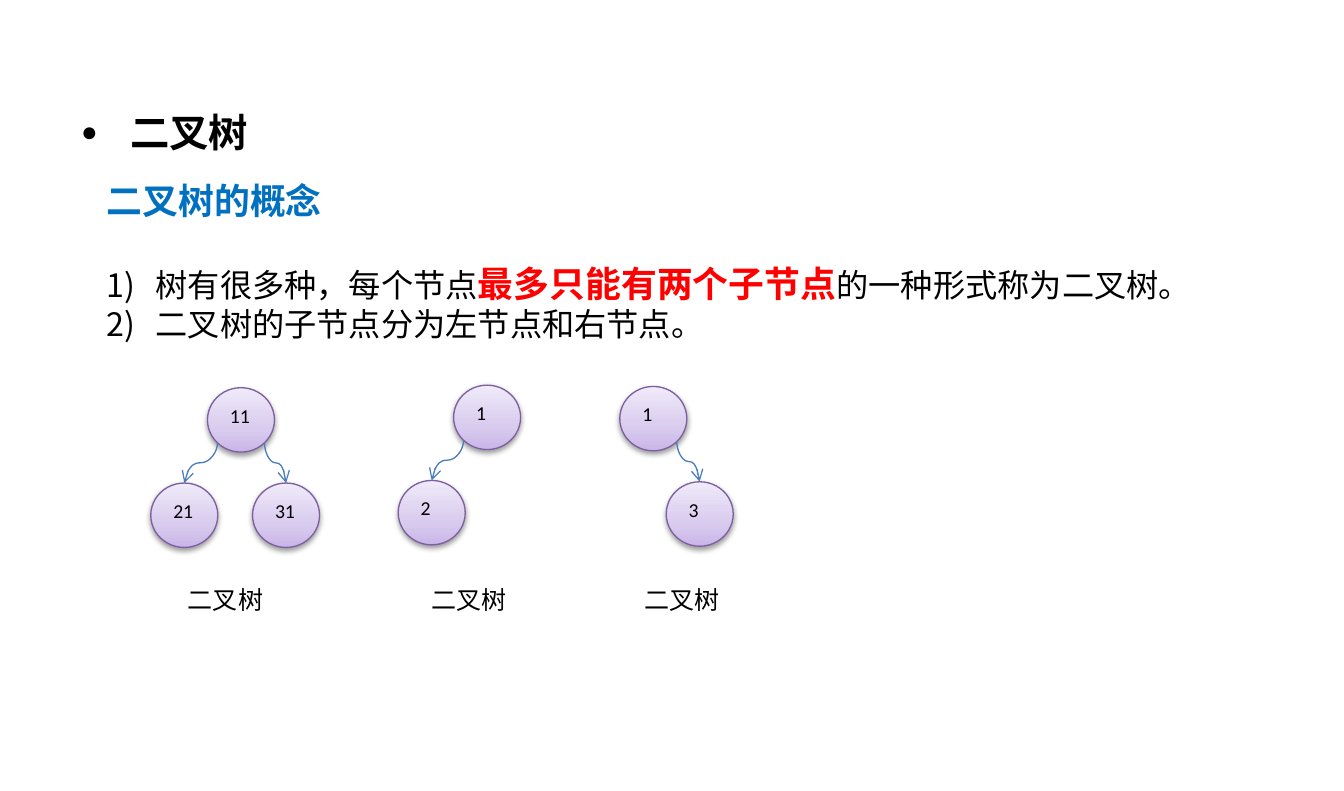
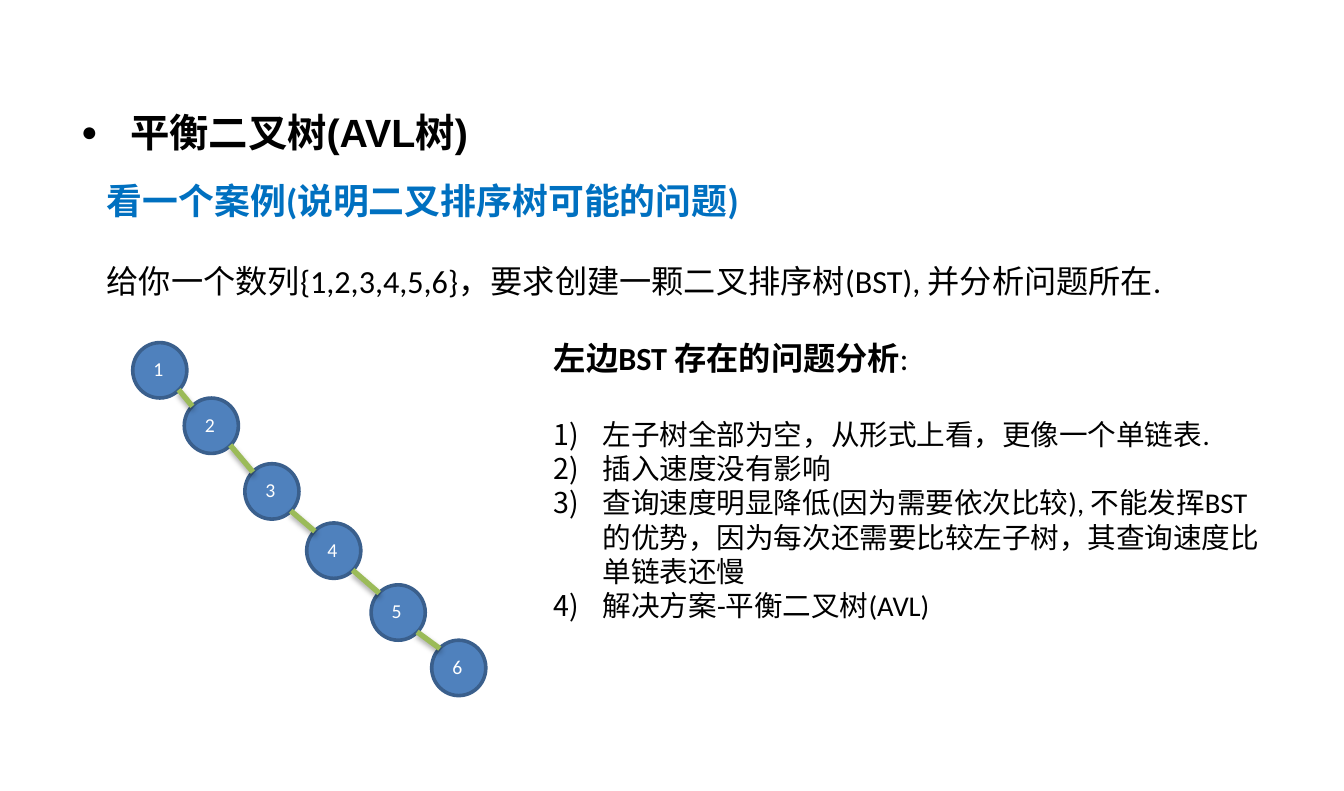
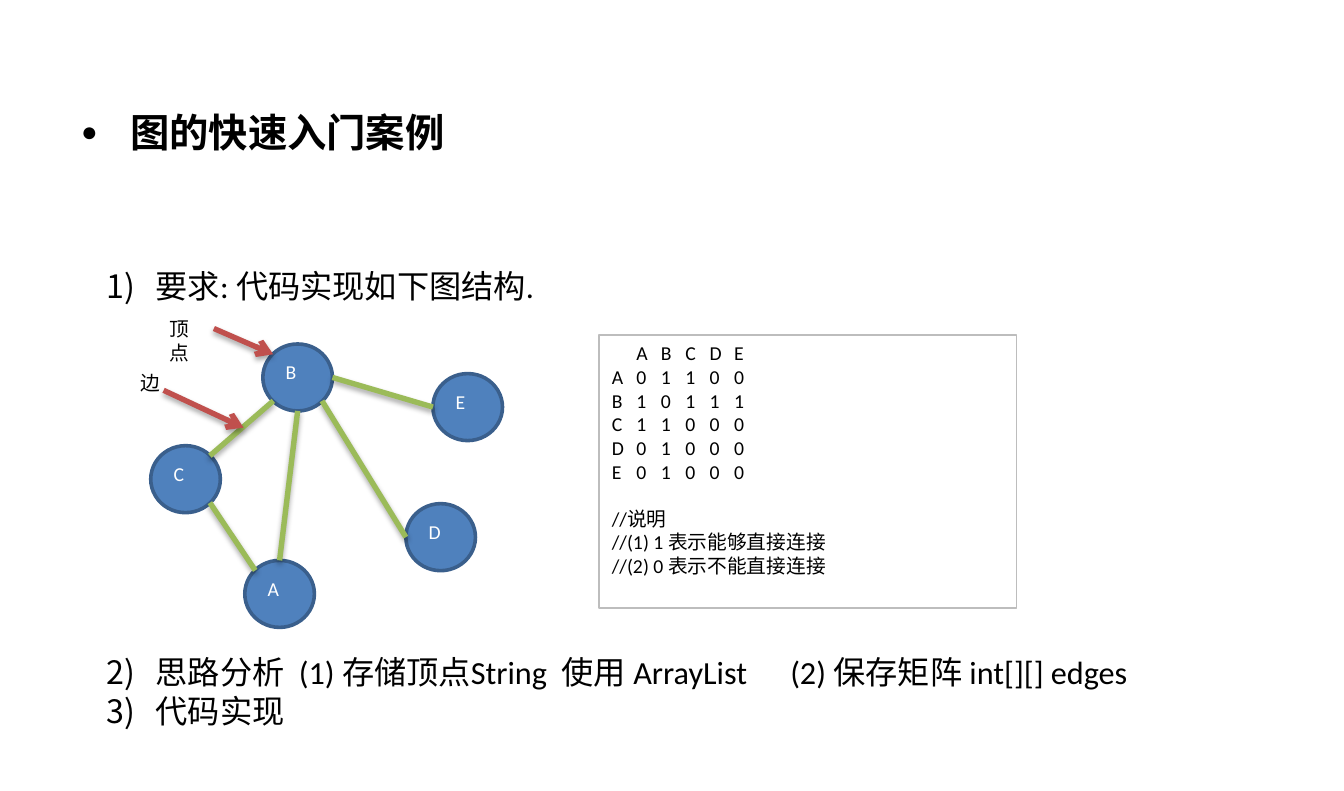
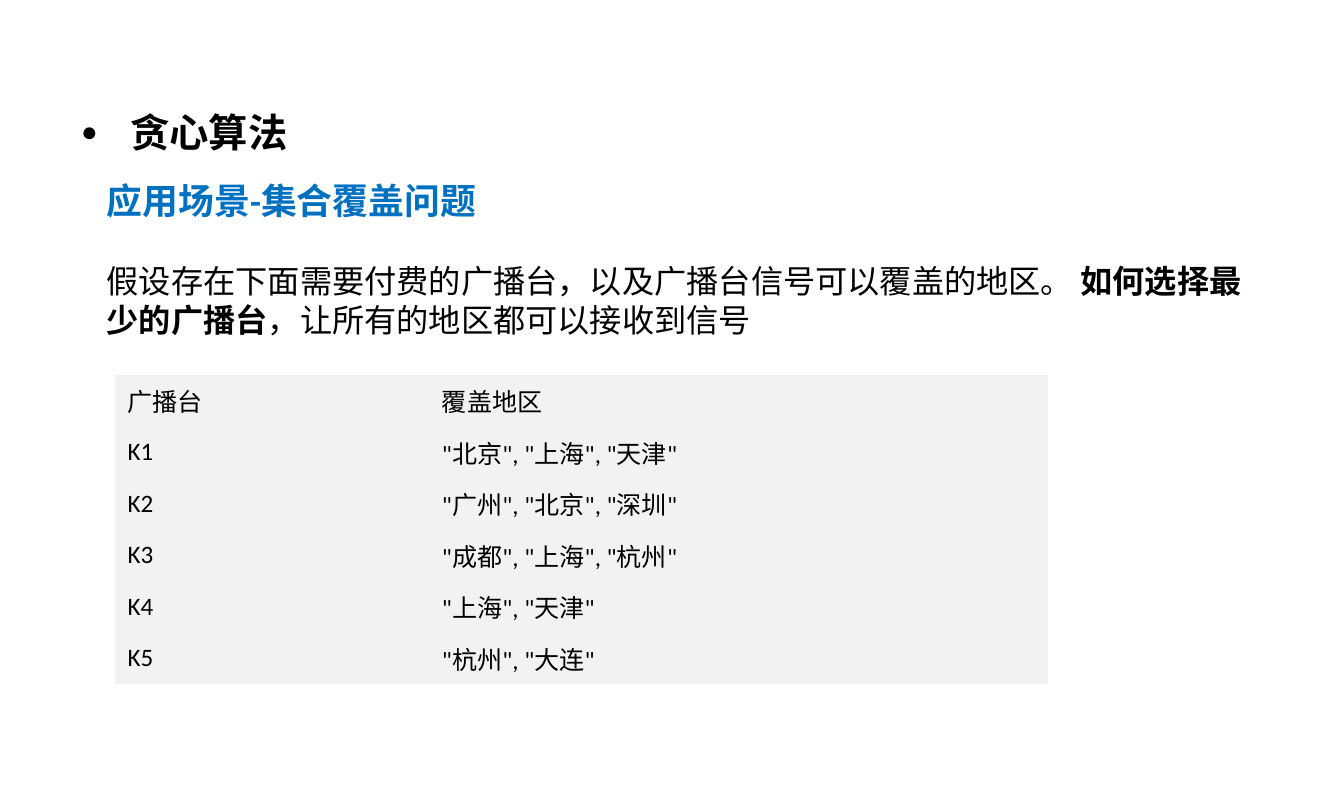
from copy import deepcopy
from dataclasses import dataclass

from lxml import etree
from pptx import Presentation
from pptx import util as u
from pptx.dml.color import RGBColor
from pptx.enum import shapes, text
from pptx.oxml.ns import qn


# Theme: every colour, font and type size
@dataclass(frozen=True)
class Theme:
    title_font: str = "Arial"
    body_font: str = "Calibri"
    title: int = 22
    heading: int = 20
    body: int = 18
    detail: int = 16
    caption: int = 14
    label: int = 11
    black: str = "000000"
    white: str = "FFFFFF"
    blue: str = "0070C0"
    red: str = "FF0000"
    node: str = "4F81BD"
    node_line: str = "3A5F8C"
    edge: str = "9BBB59"
    pointer: str = "C0504D"
    curve: str = "4B7EBC"
    frame: str = "BDBDBD"
    cell: str = "F2F2F2"
    violet_line: str = "7D60A0"
    violet: tuple = ((0, "C9B5E8"), (0.35, "D8CBEE"), (1, "F0EAF9"))


T = Theme()
INDENT = 0.38
BLANK_LINE = 22  # points between a heading and the text under it
NO_STYLE = "{2D5ABB26-0587-4C30-8999-92F81FD0307C}"

# Connection sites of an ellipse, as fractions of its box
SITES = {"top": (0.5, 0), "bottom": (0.5, 1), "left": (0, 0.5),
         "right": (1, 0.5), "tl": (0.15, 0.15), "tr": (0.85, 0.15),
         "bl": (0.15, 0.85), "br": (0.85, 0.85)}


@dataclass
class Run:
    text: str
    size: int = T.body
    color: str = T.black
    bold: bool = False
    font: str = T.body_font
    gap: float = 0  # extra letter spacing in points


def rgb(value):
    return RGBColor.from_string(value)


def inches(*values):
    return [u.Inches(v) for v in values]


def site(box, name):
    x, y, w, h = box
    fx, fy = SITES[name]
    return x + w * fx, y + h * fy


class Deck:
    def __init__(self, width, height):
        self.prs = Presentation()
        self.prs.slide_width, self.prs.slide_height = inches(width, height)
        self.s = None

    # Text
    def para(self, tf, *runs, number=False, before=0, tabs=()):
        p = tf.paragraphs[0]
        if p.runs:
            p = tf.add_paragraph()
        p.alignment = text.PP_ALIGN.LEFT
        if before:
            p.space_before = u.Pt(before)
        pPr = p._p.get_or_add_pPr()
        if number:
            self.hang(pPr)
            etree.SubElement(pPr, qn("a:buFont"), typeface="+mj-lt")
            etree.SubElement(pPr, qn("a:buAutoNum"), type="arabicParenR")
        if tabs:
            stops = etree.SubElement(pPr, qn("a:tabLst"))
            for pos in tabs:
                etree.SubElement(stops, qn("a:tab"), algn="l",
                                 pos=str(u.Inches(pos)))
        for run in runs:
            for i, line in enumerate(run.text.split("\n")):
                if i:
                    p.add_line_break()
                r = p.add_run()
                r.text = line
                r.font.size = u.Pt(run.size)
                r.font.name = run.font
                r.font.bold = run.bold
                r.font.color.rgb = rgb(run.color)
                if run.gap:
                    r._r.get_or_add_rPr().set("spc", str(int(run.gap * 100)))
        return p

    def hang(self, pPr):
        pPr.set("marL", str(u.Inches(INDENT)))
        pPr.set("indent", str(-u.Inches(INDENT)))

    def box(self, x, y, w, h):
        tf = self.s.shapes.add_textbox(*inches(x, y, w, h)).text_frame
        tf.word_wrap = True
        return tf

    def label(self, x, y, w, h, words, size=T.label):
        self.para(self.box(x, y, w, h), Run(words, size))

    # Slide frame
    def slide(self, title):
        self.s = self.prs.slides.add_slide(self.prs.slide_layouts[5])
        sp = self.s.shapes.title
        sp.left, sp.top, sp.width, sp.height = inches(0.53, 0.83, 8.3, 0.43)
        tf = sp.text_frame
        tf.auto_size = text.MSO_AUTO_SIZE.NONE
        tf.vertical_anchor = text.MSO_ANCHOR.TOP
        p = self.para(tf, Run(title, T.title, bold=True, font=T.title_font))
        p.line_spacing = 0.9
        p.space_before = u.Pt(0)
        pPr = p._p.get_or_add_pPr()
        self.hang(pPr)
        color = etree.SubElement(pPr, qn("a:buClr"))
        etree.SubElement(color, qn("a:srgbClr"), val=T.black)
        etree.SubElement(pPr, qn("a:buSzPct"), val="70000")
        etree.SubElement(pPr, qn("a:buFont"), typeface=T.title_font)
        etree.SubElement(pPr, qn("a:buChar"), char="●")

    def body(self, heading, height):
        tf = self.box(0.73, 1.34, 9.21, height)
        self.para(tf, Run(heading, T.heading, T.blue, True))
        return tf

    # Shapes
    def shadow(self, sp, alpha, dist):
        spPr = sp._element.spPr
        effects = spPr.find(qn("a:effectLst"))
        if effects is None:
            effects = etree.SubElement(spPr, qn("a:effectLst"))
        shade = etree.SubElement(
            effects, qn("a:outerShdw"), blurRad=str(u.Pt(3.1)),
            dist=str(u.Pt(dist)), dir="5400000", rotWithShape="0")
        color = etree.SubElement(shade, qn("a:srgbClr"), val=T.black)
        etree.SubElement(color, qn("a:alpha"), val=str(alpha * 1000))

    def shape(self, kind, box, line, weight):
        sp = self.s.shapes.add_shape(kind, *inches(*box))
        sp.shadow.inherit = False
        sp.line.color.rgb = rgb(line)
        sp.line.width = u.Pt(weight)
        sp.text_frame.word_wrap = True
        sp.text_frame.vertical_anchor = text.MSO_ANCHOR.TOP
        return sp

    def node(self, box, name):
        sp = self.shape(shapes.MSO_SHAPE.OVAL, box, T.node_line, 2)
        sp.fill.solid()
        sp.fill.fore_color.rgb = rgb(T.node)
        self.para(sp.text_frame, Run(name, T.label, T.white))

    def violet_node(self, box, name):
        sp = self.shape(shapes.MSO_SHAPE.OVAL, box, T.violet_line, 0.75)
        sp.fill.gradient()
        sp.fill.gradient_angle = 90
        stops = sp._element.spPr.find(".//" + qn("a:gsLst"))
        stops.append(deepcopy(stops[0]))
        for stop, (pos, color) in zip(sp.fill.gradient_stops, T.violet):
            stop.position = pos
            stop.color.rgb = rgb(color)
        self.shadow(sp, 38, 1.6)
        self.para(sp.text_frame, Run(name, T.label))

    def panel(self, box):
        sp = self.shape(shapes.MSO_SHAPE.RECTANGLE, box, T.frame, 0.75)
        sp.fill.solid()
        sp.fill.fore_color.rgb = rgb(T.white)
        return sp.text_frame

    # Lines
    def connector(self, kind, start, end, color, weight, arrow):
        c = self.s.shapes.add_connector(kind, *inches(*start, *end))
        c.line.color.rgb = rgb(color)
        c.line.width = u.Pt(weight)
        spPr = c._element.spPr
        if arrow:
            etree.SubElement(spPr.find(qn("a:ln")), qn("a:tailEnd"),
                             type="arrow")
        etree.SubElement(spPr, qn("a:effectLst"))
        return c

    def line(self, start, end, color=T.edge, arrow=False):
        c = self.connector(shapes.MSO_CONNECTOR.STRAIGHT, start, end, color,
                           3, arrow)
        self.shadow(c, 35, 1.8)

    def curve(self, start, end):
        """S-curve that leaves and arrives vertically: a turned connector."""
        (x1, y1), (x2, y2) = start, end
        cx, cy = (x1 + x2) / 2, (y1 + y2) / 2
        w, h = y2 - y1, abs(x2 - x1)
        a, b = cx - w / 2, cx + w / 2
        turn = 90
        if x2 > x1:
            a, b, turn = b, a, 270
        c = self.connector(shapes.MSO_CONNECTOR.CURVE, (a, cy - h / 2),
                           (b, cy + h / 2), T.curve, 0.75, True)
        c._element.spPr.find(qn("a:xfrm")).set("rot", str(turn * 60000))

    # Table
    def table(self, x, y, widths, row_height, rows):
        tbl = self.s.shapes.add_table(
            len(rows), len(widths),
            *inches(x, y, sum(widths), row_height * len(rows))).table
        tbl.first_row = tbl.horz_banding = False
        tbl._tbl.tblPr.find(qn("a:tableStyleId")).text = NO_STYLE
        for col, width in zip(tbl.columns, widths):
            col.width = u.Inches(width)
        for i, row in enumerate(rows):
            tbl.rows[i].height = u.Inches(row_height)
            for j, words in enumerate(row):
                cell = tbl.cell(i, j)
                cell.fill.solid()
                cell.fill.fore_color.rgb = rgb(T.cell)
                cell.vertical_anchor = text.MSO_ANCHOR.MIDDLE
                self.para(cell.text_frame, Run(words, T.caption))


# Slide 1: binary trees
def binary_tree(d):
    d.slide("二叉树")
    tf = d.body("二叉树的概念", 2.59)
    d.para(tf, Run("树有很多种，每个节点"),
           Run("最多只能有两个子节点", T.heading, T.red, True),
           Run("的一种形式称为二叉树。"), number=True, before=BLANK_LINE)
    d.para(tf, Run("二叉树的子节点分为左节点和右节点。"), number=True)

    size = (0.52, 0.5)
    drop = 0.74
    # root name, its corner, children as (name, left, site on the root), caption
    trees = [
        ("11", 1.61, 3.01, [("21", 1.17, "bl"), ("31", 1.96, "br")], 1.36),
        ("1", 3.52, 2.99, [("2", 3.09, "bl")], 3.25),
        ("1", 4.81, 3.0, [("3", 5.17, "br")], 4.9),
    ]
    for name, x, y, children, caption_x in trees:
        root = (x, y, *size)
        d.violet_node(root, name)
        for child, left, side in children:
            box = (left, y + drop, *size)
            d.violet_node(box, child)
            d.curve(site(root, side), site(box, "top"))
        d.label(caption_x, 4.49, 0.8, 0.34, "二叉树", T.caption)


# Slide 2: a sorted tree that degenerates into a list
def avl_tree(d):
    d.slide("平衡二叉树(AVL树)")
    tf = d.body("看一个案例(说明二叉排序树可能的问题)", 2.86)
    d.para(tf, Run("给你一个数列{1,2,3,4,5,6}，要求创建一颗二叉排序树(BST), "
                   "并分析问题所在."), before=BLANK_LINE)

    corners = [(1.03, 2.66), (1.43, 3.09), (1.9, 3.6),
               (2.38, 4.06), (2.88, 4.54), (3.35, 4.97)]
    chain = [(x, y, 0.42, 0.43) for x, y in corners]
    for i, box in enumerate(chain, 1):
        d.node(box, str(i))
    for upper, lower in zip(chain, chain[1:]):
        d.line(site(upper, "br"), site(lower, "tl"))

    tf = d.box(4.2, 2.58, 5.74, 2.32)
    d.para(tf, Run("左边BST 存在的问题分析", bold=True), Run(":"))
    problems = [
        "左子树全部为空，从形式上看，更像一个单链表.",
        "插入速度没有影响",
        "查询速度明显降低(因为需要依次比较), 不能发挥BST\n"
        "的优势，因为每次还需要比较左子树，其查询速度比\n单链表还慢",
        "解决方案-平衡二叉树(AVL)",
    ]
    for i, words in enumerate(problems):
        d.para(tf, Run(words, T.detail), number=True,
               before=0 if i else BLANK_LINE)


# Slide 3: a graph and its adjacency matrix
def graph_case(d):
    d.slide("图的快速入门案例")
    tf = d.box(0.73, 2.02, 9.21, 3.73)
    d.para(tf, Run("要求: 代码实现如下图结构."), number=True)
    d.para(tf, Run("思路分析"), Run(" ", gap=4), Run("(1) 存储顶点String"),
           Run(" ", gap=4), Run("使用 ArrayList"), Run(" ", gap=20),
           Run("(2) 保存矩阵 int[][] edges"), number=True, before=194)
    d.para(tf, Run("代码实现"), number=True)

    corners = {"B": (2.04, 2.67), "C": (1.17, 3.46), "A": (1.9, 4.35),
               "D": (3.15, 3.91), "E": (3.36, 2.9)}
    nodes = {name: (x, y, 0.54, 0.52) for name, (x, y) in corners.items()}
    for name, box in nodes.items():
        d.node(box, name)
    edges = [("C", "br", "A", "tl"), ("C", "tr", "B", "bl"),
             ("B", "right", "E", "left"), ("B", "bottom", "A", "top"),
             ("B", "br", "D", "left")]
    for a, a_site, b, b_site in edges:
        d.line(site(nodes[a], a_site), site(nodes[b], b_site))

    d.label(1.22, 2.41, 0.44, 0.27, "顶点")
    d.line((1.66, 2.55), (2.12, 2.75), T.pointer, arrow=True)
    d.label(0.99, 2.83, 0.31, 0.27, "边")
    d.line((1.27, 3.03), (1.89, 3.32), T.pointer, arrow=True)

    tf = d.panel((4.65, 2.6, 3.24, 2.12))
    stops = [0.19 * i for i in range(1, 6)]
    matrix = ["\tA\tB\tC\tD\tE", "A\t0\t1\t1\t0\t0", "B\t1\t0\t1\t1\t1",
              "C\t1\t1\t0\t0\t0", "D\t0\t1\t0\t0\t0", "E\t0\t1\t0\t0\t0"]
    for row in matrix:
        d.para(tf, Run(row, T.label), tabs=stops)
    notes = ["//说明", "//(1) 1 表示能够直接连接", "//(2) 0 表示不能直接连接"]
    for i, words in enumerate(notes):
        d.para(tf, Run(words, T.label), before=0 if i else 13)


# Slide 4: set cover
def greedy(d):
    d.slide("贪心算法")
    tf = d.body("应用场景-集合覆盖问题", 1.35)
    d.para(tf, Run("假设存在下面需要付费的广播台，以及广播台信号可以覆盖的地区。 "),
           Run("如何选择最少的广播台", bold=True),
           Run("，让所有的地区都可以接收到信号"), before=BLANK_LINE)
    d.table(0.89, 2.91, (2.44, 4.8), 0.4, [
        ("广播台", "覆盖地区"),
        ("K1", '"北京", "上海", "天津"'),
        ("K2", '"广州", "北京", "深圳"'),
        ("K3", '"成都", "上海", "杭州"'),
        ("K4", '"上海", "天津"'),
        ("K5", '"杭州", "大连"'),
    ])


def main():
    d = Deck(10.43, 6.14)
    for build in (binary_tree, avl_tree, graph_case, greedy):
        build(d)
    d.prs.save("out.pptx")


if __name__ == "__main__":
    main()
